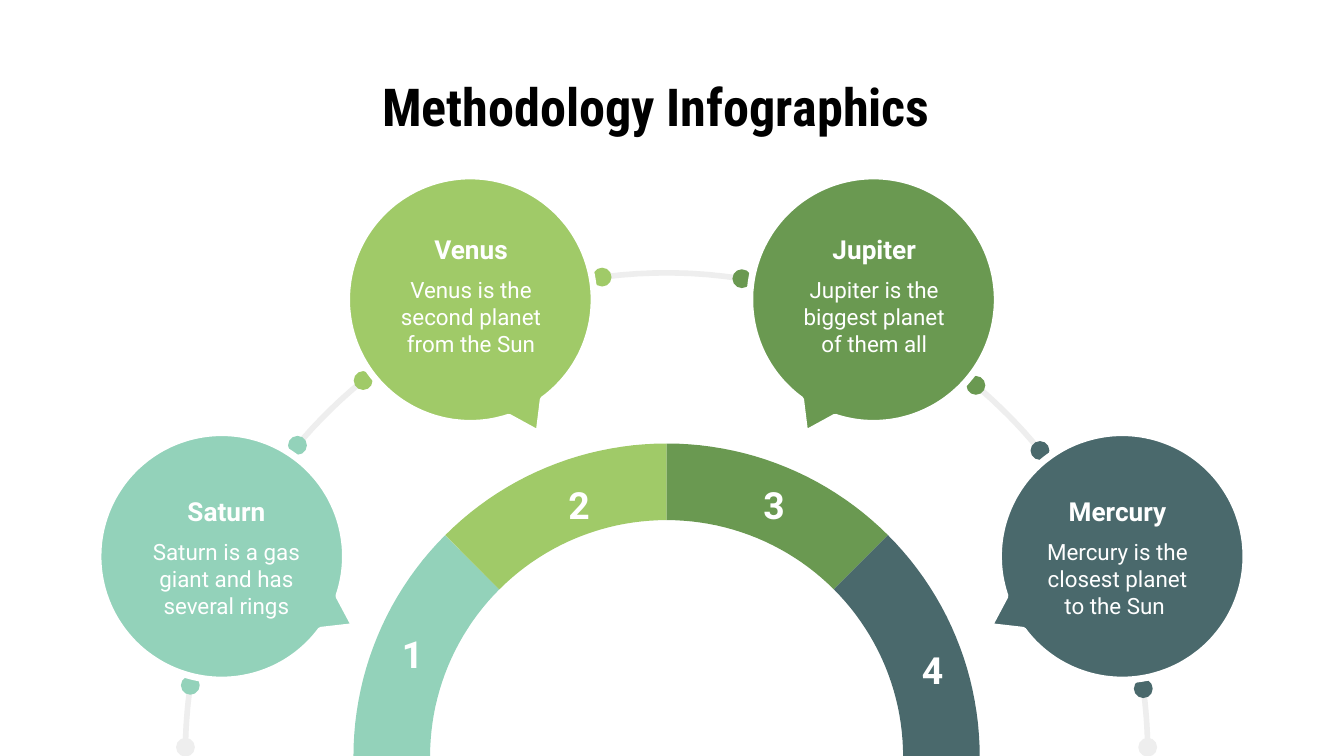
import math
from typing import NamedTuple

import pptx
import pptx.dml.color
import pptx.enum.shapes
import pptx.enum.text
import pptx.util

Inches = pptx.util.Inches
Pt = pptx.util.Pt
Point = tuple[float, float]

COLORS = {
    "mint": "93D2BA",
    "lime": "A0CA68",
    "green": "6A9951",
    "slate": "4A696C",
    "gray": "EEEEEE",
    "white": "FFFFFF",
    "black": "000000",
}


class Step(NamedTuple):
    name: str
    text: str
    color: str
    center: Point
    tail: float  # angle of the bubble's tip
    label: Point  # corner of the name's box
    number: Point  # corner of the number's box


class Link(NamedTuple):
    start: float  # angles on the track
    end: float
    first: str  # colors of the end dots
    last: str


STEPS = [
    Step("Saturn", "Saturn is a gas giant and has several rings",
         "mint", (1.65, 4.14), -27.7, (0.98, 3.6), (2.77, 4.66)),
    Step("Venus", "Venus is the second planet from the Sun",
         "lime", (3.5, 2.23), -62.9, (2.8, 1.65), (4.01, 3.55)),
    Step("Jupiter", "Jupiter is the biggest planet of them all",
         "green", (6.5, 2.23), -117.1, (5.8, 1.65), (5.46, 3.55)),
    Step("Mercury", "Mercury is the closest planet to the Sun ",
         "slate", (8.35, 4.14), -152.3, (7.61, 3.6), (6.64, 4.78)),
]

LINKS = [
    Link(179.2, 171.8, "gray", "mint"),
    Link(140.1, 129.1, "mint", "lime"),
    Link(97.7, 81, "lime", "green"),
    Link(50, 39.1, "green", "slate"),
    Link(7.8, 0.8, "slate", "gray"),
]

HUB = (4.96, 5.63)
OUTER, INNER = 2.33, 1.76
TRACK_HUB, TRACK = (4.96, 5.61), 3.58
DOT = 0.07
BUBBLE, TIP, SPREAD = 0.92, 1.12, 9
LABEL, GAP = (1.41, 0.41), 0.5


def rgb(color: str) -> pptx.dml.color.RGBColor:
    return pptx.dml.color.RGBColor.from_string(COLORS[color])


def polar(hub: Point, radius: float, angle: float) -> Point:
    turn = math.radians(angle)
    return hub[0] + radius * math.cos(turn), hub[1] - radius * math.sin(turn)


def arc(hub: Point, radius: float, start: float, end: float) -> list[Point]:
    count = max(8, round(abs(end - start) / 2))
    return [polar(hub, radius, start + (end - start) * i / count)
            for i in range(count + 1)]


def draw(shapes, points: list[Point], fill: str | None = None,
         line: str | None = None, width: float = 1):
    """Draw a filled outline, or an open curve when there is no fill."""
    spots = [(Inches(x), Inches(y)) for x, y in points]
    builder = shapes.build_freeform(*spots[0])
    builder.add_line_segments(spots[1:], close=fill is not None)
    paint(builder.convert_to_shape(), fill, line, width)


def paint(shape, fill: str | None, line: str | None = None, width: float = 1):
    shape.shadow.inherit = False
    if fill:
        shape.fill.solid()
        shape.fill.fore_color.rgb = rgb(fill)
    else:
        shape.fill.background()
    if line:
        shape.line.color.rgb = rgb(line)
        shape.line.width = Pt(width)
    else:
        shape.line.fill.background()


def dot(shapes, center: Point, color: str):
    x, y = center
    oval = shapes.add_shape(
        pptx.enum.shapes.MSO_SHAPE.OVAL, Inches(x - DOT), Inches(y - DOT),
        Inches(2 * DOT), Inches(2 * DOT))
    paint(oval, color)


def label(shapes, text: str, corner: Point, size: Point, points: float,
          bold: bool = True, font: str = "Roboto", color: str = "white",
          middle: bool = True):
    box = shapes.add_textbox(*(Inches(v) for v in corner + size))
    frame = box.text_frame
    frame.word_wrap = True
    frame.margin_left = frame.margin_right = Inches(0.1)
    frame.margin_top = frame.margin_bottom = Inches(0.1)
    anchor = pptx.enum.text.MSO_ANCHOR
    frame.vertical_anchor = anchor.MIDDLE if middle else anchor.TOP
    para = frame.paragraphs[0]
    para.text = text
    para.alignment = pptx.enum.text.PP_ALIGN.CENTER
    para.font.name = font
    para.font.size = Pt(points)
    para.font.bold = bold
    para.font.color.rgb = rgb(color)


def main():
    deck = pptx.Presentation()
    deck.slide_width = Inches(10)
    deck.slide_height = deck.slide_width * 9 // 16
    shapes = deck.slides.add_slide(deck.slide_layouts[6]).shapes

    # Title
    label(shapes, "Methodology Infographics", (0.5, 0.45), (8.76, 0.52), 28,
          font="Roboto Condensed", color="black", middle=False)

    # Half ring, one eighth of a turn per step
    for i, step in enumerate(STEPS):
        start, end = 180 - 45 * i, 135 - 45 * i
        draw(shapes, arc(HUB, OUTER, start, end) + arc(HUB, INNER, end, start),
             step.color)

    # Track with dots at the ends of each link
    for link in LINKS:
        draw(shapes, arc(TRACK_HUB, TRACK, link.start, link.end),
             line="gray", width=3)
        dot(shapes, polar(TRACK_HUB, TRACK, link.start), link.first)
        dot(shapes, polar(TRACK_HUB, TRACK, link.end), link.last)

    # Bubbles, whose white edge trims the dots, and their texts
    for i, step in enumerate(STEPS, 1):
        body = arc(step.center, BUBBLE, step.tail + SPREAD,
                   step.tail + 360 - SPREAD)
        draw(shapes, [polar(step.center, TIP, step.tail)] + body,
             step.color, "white", 3.6)
        left, top = step.label
        label(shapes, step.name, step.label, LABEL, 14)
        label(shapes, step.text, (left, top + GAP), LABEL, 12, bold=False)
        label(shapes, str(i), step.number, (0.6, 0.41), 20)

    deck.save("out.pptx")


if __name__ == "__main__":
    main()
